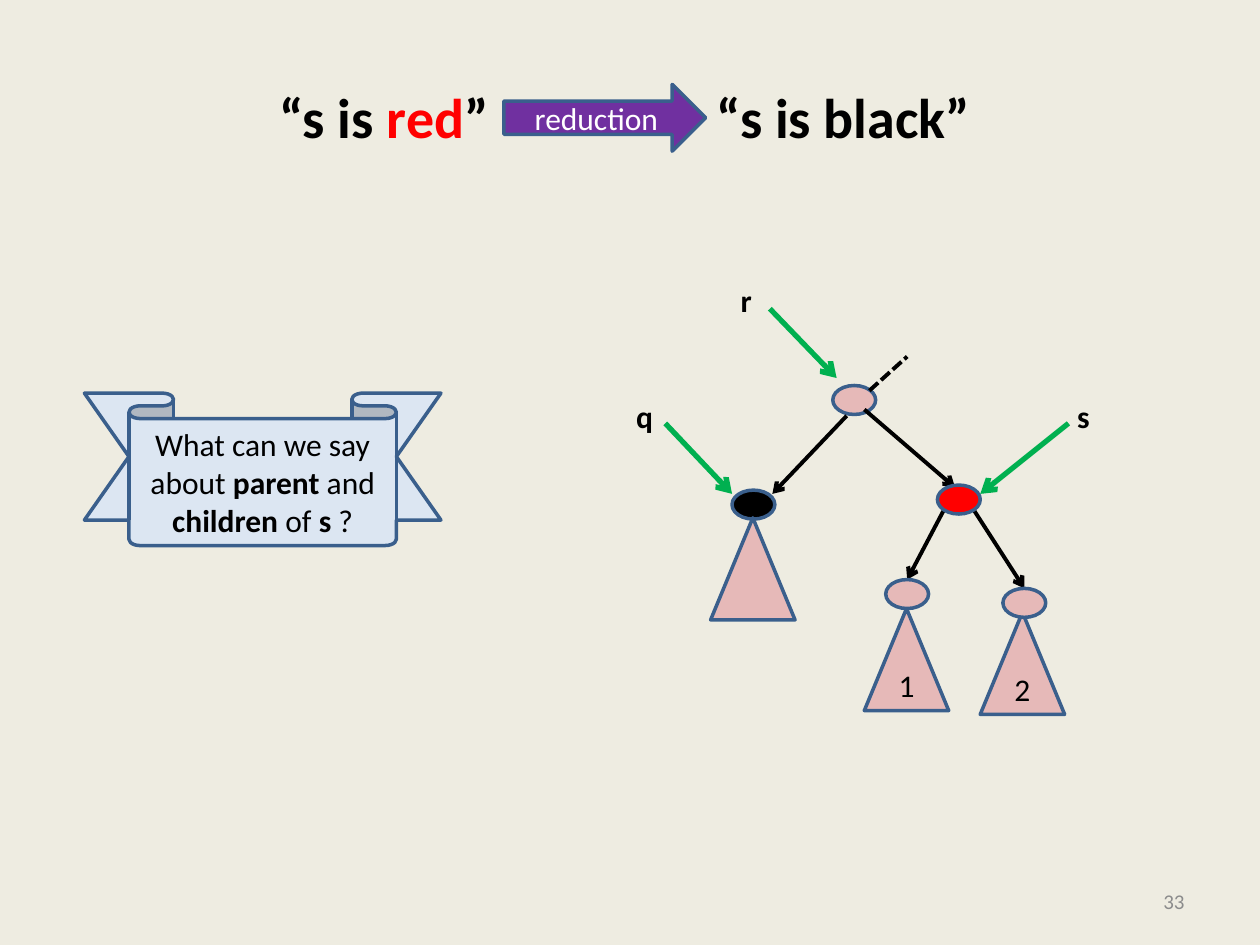
from lxml import etree
from pptx import Presentation, util as u
from pptx.dml.color import RGBColor
from pptx.enum import dml, shapes, text
from pptx.oxml.ns import qn

BACKGROUND = RGBColor(0xEE, 0xEC, 0xE1)
BLACK = RGBColor(0, 0, 0)
WHITE = RGBColor(0xFF, 0xFF, 0xFF)
RED = RGBColor(0xFF, 0, 0)
PINK = RGBColor(0xE6, 0xB9, 0xB8)
GREEN = RGBColor(0, 0xB0, 0x50)
PURPLE = RGBColor(0x70, 0x30, 0xA0)
PALE_BLUE = RGBColor(0xDC, 0xE6, 0xF2)
OUTLINE = RGBColor(0x3A, 0x5F, 0x8C)
GREY = RGBColor(0x8C, 0x8C, 0x8C)

CELL = u.Inches(0.1)
COLUMNS, ROWS = 100, 75
NODE_WIDTH, NODE_HEIGHT = 3.4, 2.3
SUBTREE_WIDTH, SUBTREE_HEIGHT = 6.7, 8.1


def cells(*counts):
    return [round(count * CELL) for count in counts]


def style(font, size, color, bold=False):
    font.name = "Calibri"
    font.size = u.Pt(size)
    font.bold = bold
    font.color.rgb = color


def add_figure(slide, preset, box, fill):
    shape = slide.shapes.add_shape(preset, *cells(*box))
    shape.shadow.inherit = False
    shape.fill.solid()
    shape.fill.fore_color.rgb = fill
    shape.line.color.rgb = OUTLINE
    shape.line.width = u.Pt(2)
    return shape


def write_centred(shape, runs, color=BLACK):
    frame = shape.text_frame
    frame.word_wrap = True
    frame.vertical_anchor = text.MSO_ANCHOR.MIDDLE
    paragraph = frame.paragraphs[0]
    paragraph.alignment = text.PP_ALIGN.CENTER
    style(paragraph.font, 18, color)
    for words, bold in runs:
        run = paragraph.add_run()
        run.text = words
        style(run.font, 18, color, bold)


def add_label(slide, box, words, size, color, bold=False):
    label = slide.shapes.add_textbox(*cells(*box))
    paragraph = label.text_frame.paragraphs[0]
    paragraph.text = words
    style(paragraph.font, size, color, bold)
    return label


def add_line(slide, start, end, color=BLACK, width=2.25, arrow=True):
    line = slide.shapes.add_connector(
        shapes.MSO_CONNECTOR.STRAIGHT, *cells(*start, *end))
    line.line.color.rgb = color
    line.line.width = u.Pt(width)
    if arrow:
        etree.SubElement(line.line._get_or_add_ln(), qn("a:tailEnd"), type="arrow")
    etree.SubElement(line._element.spPr, qn("a:effectLst"))
    return line


def add_node(slide, centre, fill):
    x, y = centre
    box = (x - NODE_WIDTH / 2, y - NODE_HEIGHT / 2, NODE_WIDTH, NODE_HEIGHT)
    add_figure(slide, shapes.MSO_SHAPE.OVAL, box, fill)


def add_subtree(slide, apex, number=""):
    x, y = apex
    box = (x - SUBTREE_WIDTH / 2, y, SUBTREE_WIDTH, SUBTREE_HEIGHT)
    triangle = add_figure(slide, shapes.MSO_SHAPE.ISOSCELES_TRIANGLE, box, PINK)
    if number:
        write_centred(triangle, [(number, False)])


def build_heading(slide, box):
    left, top, width, height = box
    title = slide.shapes.title
    title.left, title.top, title.width, title.height = cells(*box)
    frame = title.text_frame
    frame.margin_left = cells(17.2)[0]
    frame.vertical_anchor = text.MSO_ANCHOR.MIDDLE
    paragraph = frame.paragraphs[0]
    paragraph.alignment = text.PP_ALIGN.LEFT
    tabs = etree.SubElement(paragraph._p.get_or_add_pPr(), qn("a:tabLst"))
    etree.SubElement(tabs, qn("a:tab"), pos=str(cells(34.7)[0]), algn="l")
    style(paragraph.font, 32, BLACK, True)
    for words, color in (("“s is ", BLACK), ("red", RED), ("”\t“s is black”", BLACK)):
        run = paragraph.add_run()
        run.text = words
        style(run.font, 32, color, True)

    arrow_box = (left + 35, top + 3.7, 16, 5.3)
    arrow = add_figure(slide, shapes.MSO_SHAPE.RIGHT_ARROW, arrow_box, PURPLE)
    write_centred(arrow, [("reduction", False)], WHITE)


def build_question(slide, box):
    ribbon = add_figure(slide, shapes.MSO_SHAPE.DOWN_RIBBON, box, PALE_BLUE)
    ribbon.adjustments[0] = 0.167
    ribbon.adjustments[1] = 0.75
    write_centred(ribbon, [
        ("What can we say about ", False), ("parent", True), (" and ", False),
        ("children", True), (" of ", False), ("s ", True), ("?", False)])


def build_tree(slide, box):
    left, top, width, height = box

    def at(x, y):
        return left + x, top + y

    add_node(slide, at(18.3, 9.95), PINK)
    edges = [
        ((17.7, 11.2), (11.8, 17.4)),
        ((19.1, 10.7), (26.3, 16.9)),
        ((25.4, 18.7), (22.5, 24.2)),
        ((27.8, 18.7), (31.8, 24.9)),
    ]
    for start, end in edges:
        add_line(slide, at(*start), at(*end))
    upward = add_line(slide, at(19.5, 9.2), at(22.5, 6.5), arrow=False)
    upward.line.dash_style = dml.MSO_LINE.SQUARE_DOT

    add_node(slide, at(26.6, 17.85), RED)
    add_node(slide, at(10.3, 18.25), BLACK)
    add_subtree(slide, at(10.25, 19.3))

    children = [
        ("1", (22.5, 25.35), (22.45, 26.5)),
        ("2", (31.8, 26.05), (31.65, 26.8)),
    ]
    for number, centre, apex in children:
        add_subtree(slide, at(*apex), number)
        add_node(slide, at(*centre), PINK)

    pointers = [
        ("q", (0, 9.2), (3.3, 11.8), (8.6, 17.4)),
        ("s", (35, 9.2), (35.3, 11.8), (28.3, 17.4)),
        ("r", (8.3, 0), (11.6, 2.7), (16.9, 8.2)),
    ]
    for name, corner, start, end in pointers:
        label = add_label(slide, (*at(*corner), 3, 4), name, 18, BLACK, True)
        label.text_frame.word_wrap = False
        add_line(slide, at(*start), at(*end), GREEN, 3)


def build_page_number(slide, box):
    label = add_label(slide, box, "33", 12, GREY)
    label.text_frame.word_wrap = True
    label.text_frame.vertical_anchor = text.MSO_ANCHOR.MIDDLE
    label.text_frame.paragraphs[0].alignment = text.PP_ALIGN.RIGHT


def main():
    presentation = Presentation()
    presentation.slide_width, presentation.slide_height = cells(COLUMNS, ROWS)
    slide = presentation.slides.add_slide(presentation.slide_layouts[5])
    slide.background.fill.solid()
    slide.background.fill.fore_color.rgb = BACKGROUND
    build_heading(slide, (5, 3, 90, 12.5))
    build_tree(slide, (49.5, 21.8, 38, 34.9))
    build_question(slide, (6.7, 31.2, 28.3, 12.1))
    build_page_number(slide, (71.7, 69.5, 23.3, 4))
    presentation.save("out.pptx")


if __name__ == "__main__":
    main()
